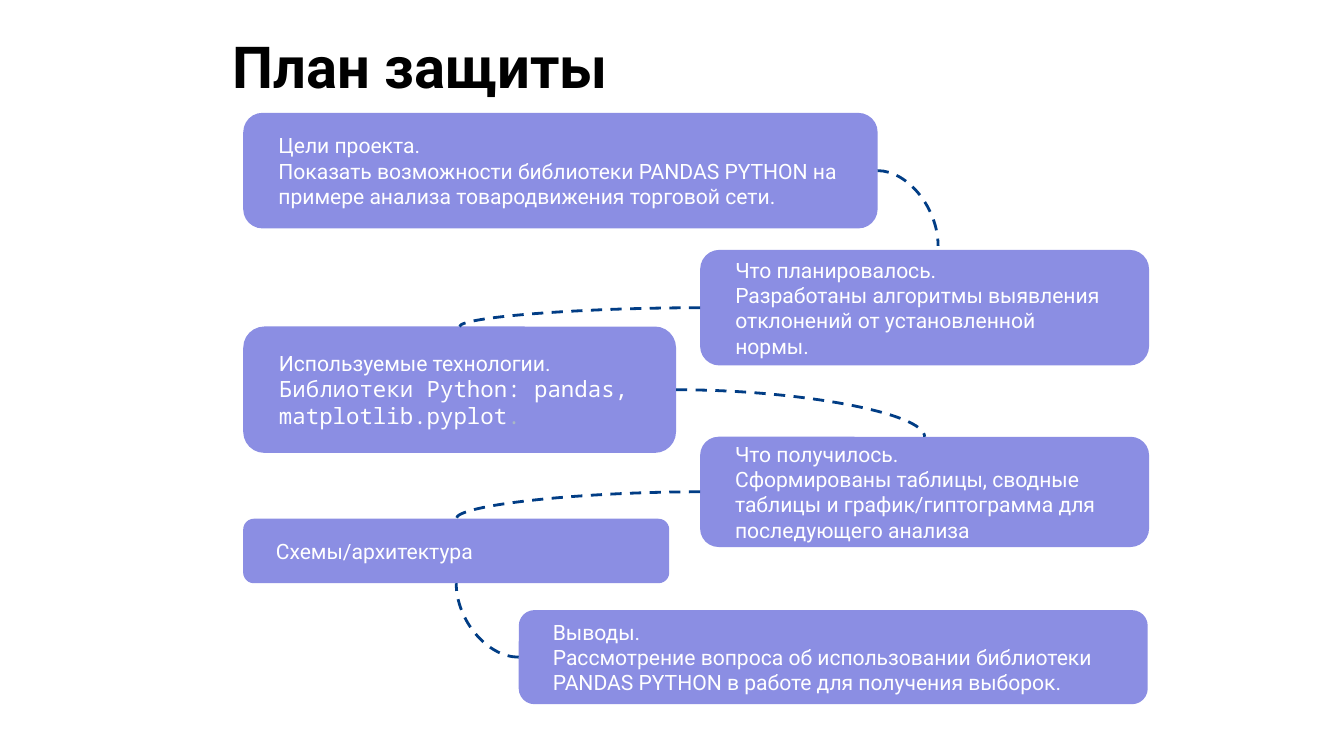
from pptx import Presentation
from pptx.dml.color import RGBColor
from pptx.enum.dml import MSO_LINE
from pptx.enum.shapes import MSO_CONNECTOR, MSO_SHAPE
from pptx.enum.text import MSO_ANCHOR, PP_ALIGN
from pptx.oxml.ns import qn
from pptx.util import Inches, Pt
from lxml.etree import SubElement

TOP, LEFT, BOTTOM, RIGHT = range(4)
BODY = {"name": "Roboto", "size": Pt(11.3), "color": "FFFFFF"}
CODE = {"name": "Noto Sans Mono", "size": Pt(12), "color": "FFFFFF"}
FAINT = {**CODE, "color": "A9B7C6"}
HEAD = {"name": "Roboto", "size": Pt(31), "bold": True, "color": "000000"}

CARDS = [
    ((1.81, 0.84, 4.72, 0.86), [
        [("Цели проекта.", BODY)],
        [("Показать возможности библиотеки PANDAS PYTHON на примере "
          "анализа товародвижения торговой сети.", BODY)]]),
    ((5.21, 1.86, 3.34, 0.86), [
        [("Что планировалось.", BODY)],
        [("Разработаны алгоритмы выявления отклонений от установленной "
          "нормы.", BODY)]]),
    ((1.81, 2.43, 3.22, 0.94), [
        [("Используемые технологии.", BODY)],
        [("Библиотеки Python: pandas, matplotlib.pyplot", CODE), (".", FAINT)]]),
    ((5.21, 3.25, 3.34, 0.82), [
        [("Что получилось.", BODY)],
        [("Сформированы таблицы, сводные таблицы и график/гиптограмма для "
          "последующего анализа", BODY)]]),
    ((1.81, 3.86, 3.17, 0.48), [[("Схемы/архитектура", BODY)]]),
    ((3.86, 4.54, 4.68, 0.7), [
        [("Выводы.", BODY)],
        [("Рассмотрение вопроса об использовании библиотеки PANDAS PYTHON "
          "в работе для получения выборок.", BODY)]]),
]
LINKS = [(1, LEFT, 2, TOP), (2, RIGHT, 3, TOP), (3, LEFT, 4, TOP),
         (5, LEFT, 4, BOTTOM)]


def paint(form, code):
    """Set a solid colour on a fill or a font from a hex string."""
    fill = form.fill if hasattr(form, "fill") else form
    fill.solid()
    fill.fore_color.rgb = RGBColor.from_string(code)


def style(thing, look):
    """Set each format value on a font, a line or a text frame."""
    for key, value in look.items():
        if key == "color":
            paint(thing, value)
        else:
            setattr(thing, key, value)


def write(frame, lines, left, right, anchor):
    """Fill a text frame with lines of styled runs."""
    style(frame, {"word_wrap": True, "vertical_anchor": anchor,
                  "margin_left": Inches(left), "margin_right": Inches(right),
                  "margin_top": Inches(0.07), "margin_bottom": Inches(0.07)})
    for num, line in enumerate(lines):
        para = frame.add_paragraph() if num else frame.paragraphs[0]
        para.alignment = PP_ALIGN.LEFT
        for text, look in line:
            run = para.add_run()
            run.text = text
            style(run.font, look)


def title(slide, box, text):
    """Place the slide heading in its box."""
    area = slide.shapes.add_textbox(*map(Inches, box))
    write(area.text_frame, [[(text, HEAD)]], 0.07, 0.07, MSO_ANCHOR.TOP)


def card(slide, box, lines):
    """Place one rounded card with its text."""
    shape = slide.shapes.add_shape(MSO_SHAPE.ROUNDED_RECTANGLE, *map(Inches, box))
    shape.adjustments[0] = 0.167
    shape.shadow.inherit = False
    paint(shape.fill, "8B8EE3")
    shape.line.fill.background()
    write(shape.text_frame, lines, 0.22, 0.25, MSO_ANCHOR.MIDDLE)
    return shape


def curve(slide, start, site, end):
    """Draw a dashed quarter curve from a card side to a point."""
    link = slide.shapes.add_connector(MSO_CONNECTOR.CURVE, 0, 0, *map(Inches, end))
    link.begin_connect(start, site)
    style(link.line, {"color": "013D85", "width": Pt(1.5),
                      "dash_style": MSO_LINE.DASH})
    props = link._element.spPr
    props.find(qn("a:prstGeom")).set("prst", "curvedConnector2")
    SubElement(props, qn("a:effectLst"))
    return link


def plan(slide):
    """Place all cards and the curves that join them."""
    cards = [card(slide, box, lines) for box, lines in CARDS]
    curve(slide, cards[0], RIGHT, (6.98, 1.83))
    for start, side, goal, edge in LINKS:
        link = curve(slide, cards[start], side, (0, 0))
        link.end_connect(cards[goal], edge)


deck = Presentation()
deck.slide_width = Inches(10)
deck.slide_height = deck.slide_width * 9 // 16
slide = deck.slides.add_slide(deck.slide_layouts[6])
title(slide, (1.66, 0.16, 6.99, 0.61), "План защиты")
plan(slide)
deck.save("out.pptx")
